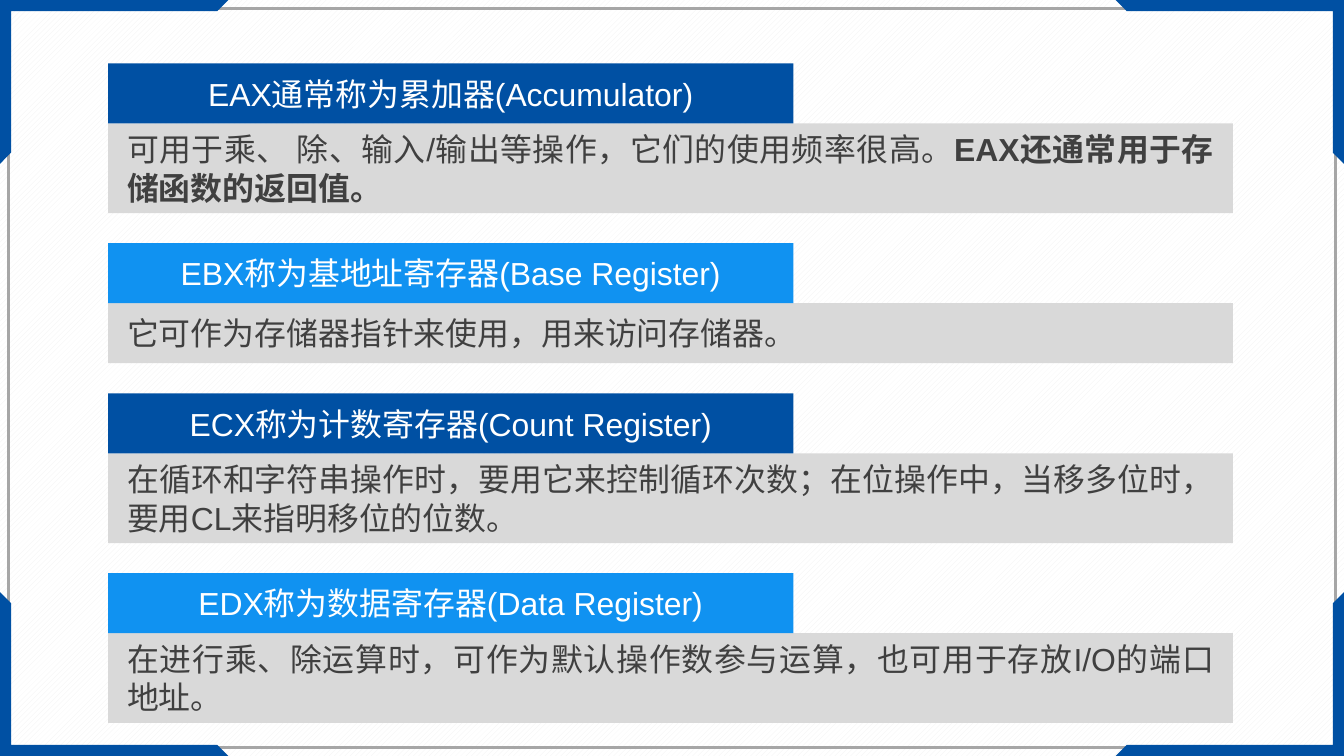
import pptx
import pptx.util
import pptx.dml.color
import pptx.enum.dml
import pptx.enum.shapes
import pptx.enum.text

Pt = pptx.util.Pt
RGB = pptx.dml.color.RGBColor.from_string
RECT = pptx.enum.shapes.MSO_SHAPE.RECTANGLE
ALIGN = pptx.enum.text.PP_ALIGN

COLORS = {
    "navy": "0050A3",
    "blue": "1092F1",
    "panel": "D9D9D9",
    "text": "404040",
    "white": "FFFFFF",
    "stripe": "F2F2F2",
    "frame": "A6A6A6",
}
WIDTH, HEIGHT = 1012.4, 569.5
LEFT, TITLE_WIDTH, BODY_WIDTH = 81.4, 516.2, 847.4
TOP, ROW_HEIGHT, GAP = 47.7, 45.2, 22.7

REGISTERS = [
    ("EAX通常称为累加器(Accumulator)", "navy", 67.6,
     [("可用于乘、 除、输入/输出等操作，它们的使用频率很高。", False),
      ("EAX还通常用于存储函数的返回值。", True)]),
    ("EBX称为基地址寄存器(Base Register)", "blue", ROW_HEIGHT,
     [("它可作为存储器指针来使用，用来访问存储器。", False)]),
    ("ECX称为计数寄存器(Count Register)", "navy", 67.6,
     [("在循环和字符串操作时，要用它来控制循环次数；在位操作中，当移多位时，要用CL来指明移位的位数。", False)]),
    ("EDX称为数据寄存器(Data Register)", "blue", 67.6,
     [("在进行乘、除运算时，可作为默认操作数参与运算，也可用于存放I/O的端口地址。", False)]),
]

prs = pptx.Presentation()
prs.slide_width, prs.slide_height = Pt(WIDTH), Pt(HEIGHT)
s = prs.slides.add_slide(prs.slide_layouts[6])

bg = s.background.fill
bg.patterned()
bg.pattern = pptx.enum.dml.MSO_PATTERN.WIDE_UPWARD_DIAGONAL
bg.fore_color.rgb = RGB(COLORS["stripe"])
bg.back_color.rgb = RGB(COLORS["white"])

frame = s.shapes.add_shape(RECT, Pt(6.2), Pt(6.5), Pt(1000), Pt(556.5))
frame.shadow.inherit = False
frame.fill.background()
frame.line.color.rgb = RGB(COLORS["frame"])
frame.line.width = Pt(2)

CORNER = [(0, 0), (172, 0), (163.6, 8.4), (8.4, 8.4), (8.4, 115), (0, 123.4)]
for right in (False, True):
    for bottom in (False, True):
        points = [(Pt(WIDTH - x if right else x), Pt(HEIGHT - y if bottom else y))
                  for x, y in CORNER]
        fb = s.shapes.build_freeform(*points[0])
        fb.add_line_segments(points[1:])
        sp = fb.convert_to_shape()
        sp.shadow.inherit = False
        sp.fill.solid()
        sp.fill.fore_color.rgb = RGB(COLORS["navy"])
        sp.line.fill.background()


def add_box(top, width, height, fill, color, align, inset, runs):
    sp = s.shapes.add_shape(RECT, Pt(LEFT), Pt(top), Pt(width), Pt(height))
    sp.shadow.inherit = False
    sp.fill.solid()
    sp.fill.fore_color.rgb = RGB(COLORS[fill])
    sp.line.fill.background()
    tf = sp.text_frame
    tf.word_wrap = True
    tf.vertical_anchor = pptx.enum.text.MSO_ANCHOR.MIDDLE
    tf.margin_left = tf.margin_right = Pt(inset)
    tf.margin_top = tf.margin_bottom = Pt(3.6)
    p = tf.paragraphs[0]
    p.alignment = align
    for text, bold in runs:
        r = p.add_run()
        r.text = text
        r.font.name = "Arial"
        r.font.size = Pt(24)
        r.font.bold = bold
        r.font.color.rgb = RGB(COLORS[color])


top = TOP
for title, fill, body_height, body in REGISTERS:
    add_box(top + ROW_HEIGHT, BODY_WIDTH, body_height, "panel", "text",
            ALIGN.JUSTIFY, 14.4, body)
    add_box(top, TITLE_WIDTH, ROW_HEIGHT, fill, "white",
            ALIGN.CENTER, 7.2, [(title, False)])
    top += ROW_HEIGHT + body_height + GAP

prs.save("out.pptx")
